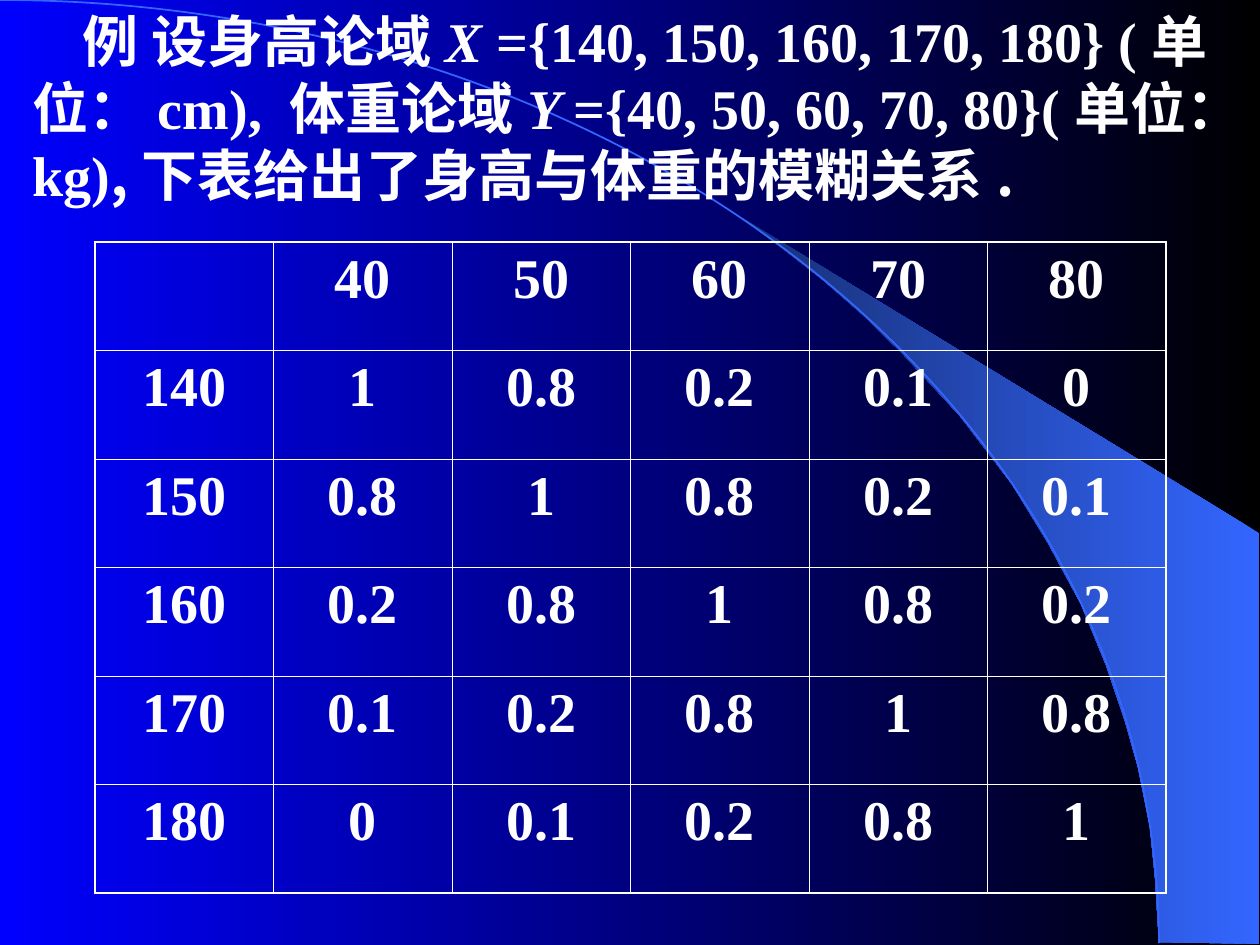
from dataclasses import dataclass

from lxml.etree import SubElement
from pptx import Presentation
from pptx.dml.color import RGBColor
from pptx.enum.shapes import MSO_SHAPE as Shape
from pptx.enum.text import MSO_AUTO_SIZE as AutoSize, PP_ALIGN as Align
from pptx.oxml.ns import qn
from pptx.util import Emu, Pt

SCALE = 914400 / 126


@dataclass(frozen=True)
class Theme:
    night: str = "000000"
    blue: str = "0000FF"
    glow: str = "3366FF"
    dusk: str = "172F75"
    text: str = "FFFFFF"
    latin: str = "Times New Roman"
    chinese: str = "Noto Sans CJK SC"
    size: int = 32
    inner_border: float = 0.45
    outer_border: float = 1.08


THEME = Theme()

STATEMENT = [
    ("例 设身高论域", THEME.chinese, False),
    ("X ", THEME.latin, True),
    ("={140, 150, 160, 170, 180} (单位：cm), 体重论域", THEME.latin, False),
    ("Y ", THEME.latin, True),
    ("={40, 50, 60, 70, 80}(单位：kg)", THEME.latin, False),
    (",下表给出了身高与体重的模糊关系.", THEME.chinese, False),
]

WEIGHTS = [40, 50, 60, 70, 80]
HEIGHTS = [140, 150, 160, 170, 180]
MEMBERSHIP_BY_DISTANCE = ["1", "0.8", "0.2", "0.1", "0"]
# Entries at distance 3 and 4 from the diagonal are 0.1 and 0.

BEAM = [
    (1159, 942), (1259, 944), (1259, 533), (742, 218), (786, 251), (823, 280),
    (863, 315), (902, 353), (960, 416), (1012, 484), (1048, 543), (1081, 604),
    (1106, 665), (1125, 721), (1138, 767), (1150, 827), (1155, 877),
]


def px(length):
    return Emu(round(length * SCALE))


def box(*lengths):
    return [px(length) for length in lengths]


def rgb(colour):
    return RGBColor.from_string(colour)


def fill_gradient(fill, right, left):
    fill.gradient()
    fill.gradient_angle = 180
    for stop, colour in zip(fill.gradient_stops, (right, left)):
        stop.color.rgb = rgb(colour)


def add_beam(slide):
    builder = slide.shapes.build_freeform(*BEAM[0], scale=SCALE)
    builder.add_line_segments(BEAM[1:], close=True)
    beam = builder.convert_to_shape()
    beam.shadow.inherit = False
    fill_gradient(beam.fill, THEME.glow, THEME.dusk)
    beam.line.fill.background()


def add_horizon(slide):
    horizon = slide.shapes.add_shape(Shape.ARC, *box(-1159, 0, 2318, 1886))
    horizon.shadow.inherit = False
    horizon.fill.background()
    horizon.line.color.rgb = rgb(THEME.glow)
    horizon.line.width = Pt(1)


def style_paragraph(paragraph):
    font = paragraph.font
    font.size = Pt(THEME.size)
    font.bold = True
    font.color.rgb = rgb(THEME.text)
    font.name = THEME.latin
    defaults = paragraph._p.get_or_add_pPr().find(qn("a:defRPr"))
    SubElement(defaults, qn("a:ea"), typeface=THEME.chinese)


def add_statement(slide):
    frame = slide.shapes.add_textbox(*box(20, 0, 1230, 214)).text_frame
    frame.word_wrap = True
    frame.auto_size = AutoSize.SHAPE_TO_FIT_TEXT
    paragraph = frame.paragraphs[0]
    paragraph._p.get_or_add_pPr().set("indent", str(px(50)))
    style_paragraph(paragraph)
    for text, typeface, italic in STATEMENT:
        run = paragraph.add_run()
        run.text = text
        run.font.name = typeface
        run.font.italic = italic


def set_borders(cell, outer_sides):
    properties = cell._tc.get_or_add_tcPr()
    for side in "LRTB":
        width = THEME.outer_border if side in outer_sides else THEME.inner_border
        border = SubElement(properties, qn(f"a:ln{side}"), w=str(Pt(width)))
        paint = SubElement(border, qn("a:solidFill"))
        SubElement(paint, qn("a:srgbClr"), val=THEME.text)


def relation_rows():
    yield ["", *map(str, WEIGHTS)]
    for row, height in enumerate(HEIGHTS):
        yield [str(height)] + [
            MEMBERSHIP_BY_DISTANCE[abs(row - column)]
            for column in range(len(WEIGHTS))
        ]


def add_relation_table(slide):
    rows = list(relation_rows())
    last_row, last_column = len(rows) - 1, len(rows[0]) - 1
    table = slide.shapes.add_table(
        len(rows), len(rows[0]), *box(95, 242, 1071, 651)
    ).table
    table.first_row = table.horz_banding = False
    for r, values in enumerate(rows):
        for c, value in enumerate(values):
            cell = table.cell(r, c)
            edges = {"L": c == 0, "R": c == last_column,
                     "T": r == 0, "B": r == last_row}
            set_borders(cell, [side for side, outer in edges.items() if outer])
            cell.fill.background()
            cell.text = value
            paragraph = cell.text_frame.paragraphs[0]
            paragraph.alignment = Align.CENTER
            style_paragraph(paragraph)


def main():
    deck = Presentation()
    deck.slide_width, deck.slide_height = box(1260, 945)
    slide = deck.slides.add_slide(deck.slide_layouts[6])
    fill_gradient(slide.background.fill, THEME.night, THEME.blue)
    add_beam(slide)
    add_horizon(slide)
    add_statement(slide)
    add_relation_table(slide)
    deck.save("out.pptx")


if __name__ == "__main__":
    main()
